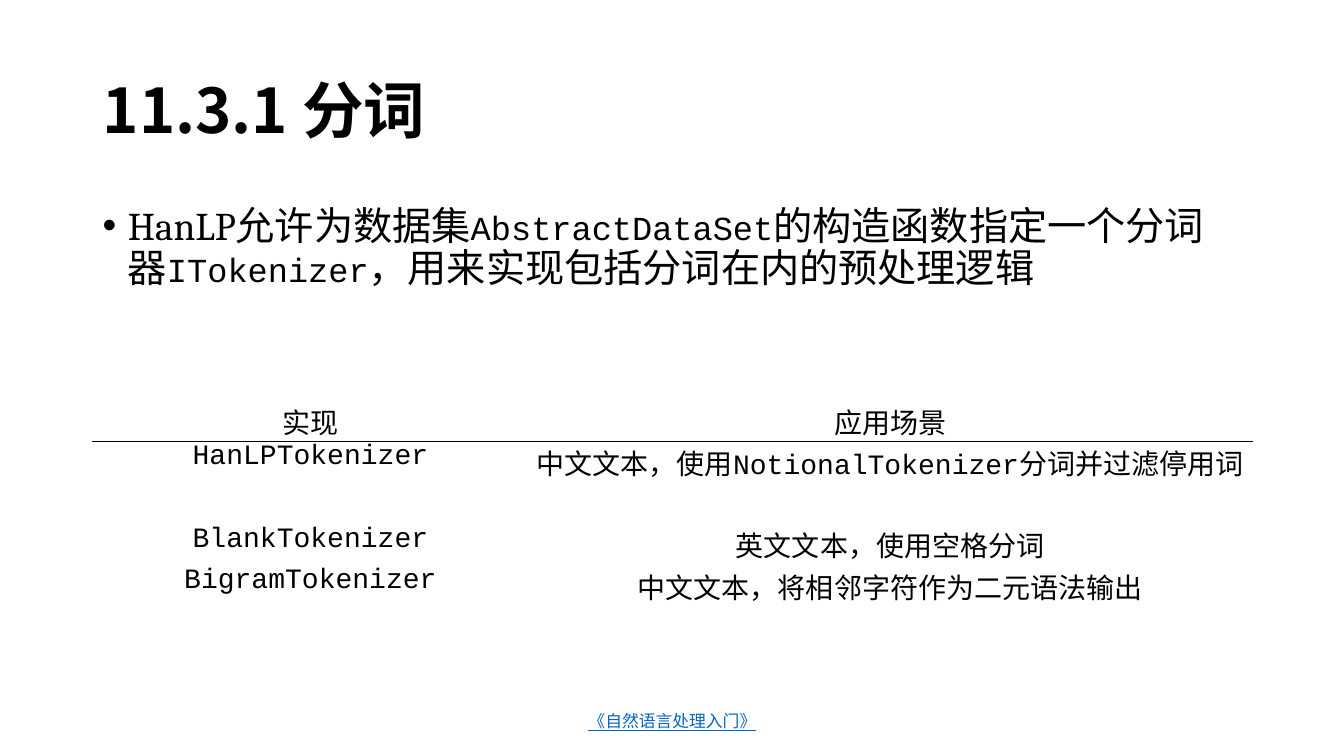
from dataclasses import dataclass

from lxml import etree
from pptx import Presentation
from pptx.dml.color import RGBColor
from pptx.enum import text as t
from pptx.oxml import ns
from pptx.util import Inches, Pt


@dataclass(frozen=True)
class Theme:
    ink: str = "000000"
    link: str = "0563C1"
    sans: str = "Noto Sans CJK SC"
    serif: str = "Cambria"
    mono: str = "Courier New"
    title: int = 44
    body: int = 28
    body_code: int = 24
    cell: int = 20
    source: int = 12


THEME = Theme()
LEFT, WIDTH = 0.92, 11.5
COLUMNS = (4.32, 7.18)
ROW_HEIGHTS = (0.4, 0.82, 0.41, 0.41)  # the second row holds two lines

TITLE = dict(size=THEME.title, name=THEME.sans, bold=True)
PROSE = dict(size=THEME.body, name=THEME.serif)
PROSE_CODE = dict(size=THEME.body_code, name=THEME.mono)
CELL = dict(size=THEME.cell, name=THEME.sans)
CELL_CODE = dict(size=THEME.cell, name=THEME.mono)
SOURCE = dict(size=THEME.source, name=THEME.sans, underline=True)

BODY = [
    ("HanLP允许为数据集", PROSE),
    ("AbstractDataSet", PROSE_CODE),
    ("的构造函数指定一个分词器", PROSE),
    ("ITokenizer", PROSE_CODE),
    ("，用来实现包括分词在内的预处理逻辑", PROSE),
]
TOKENIZERS = [
    ([("实现", CELL)], [("应用场景", CELL)]),
    ([("HanLPTokenizer", CELL_CODE)],
     [("中文文本，使用", CELL), ("NotionalTokenizer", CELL_CODE), ("分词并过滤停用词", CELL)]),
    ([("BlankTokenizer", CELL_CODE)], [("英文文本，使用空格分词", CELL)]),
    ([("BigramTokenizer", CELL_CODE)], [("中文文本，将相邻字符作为二元语法输出", CELL)]),
]


def add_child(parent, tag, **attributes):
    return etree.SubElement(parent, ns.qn(tag), attributes)


def write_runs(paragraph, runs, color=THEME.ink):
    for wording, style in runs:
        run = paragraph.add_run()
        run.text = wording
        run.font.color.rgb = RGBColor.from_string(color)
        for attribute, value in style.items():
            setattr(run.font, attribute, Pt(value) if attribute == "size" else value)
        add_child(run.font._element, "a:ea", typeface=THEME.sans)


def add_text(slide, place, runs, color=THEME.ink, anchor=t.MSO_ANCHOR.MIDDLE, **paragraph_format):
    frame = slide.shapes.add_textbox(*map(Inches, place)).text_frame
    frame.word_wrap = True
    frame.vertical_anchor = anchor
    paragraph = frame.paragraphs[0]
    for attribute, value in paragraph_format.items():
        setattr(paragraph, attribute, value)
    write_runs(paragraph, runs, color)
    return paragraph


def add_bullet(paragraph, indent):
    properties = paragraph._p.get_or_add_pPr()
    properties.set("marL", str(Inches(indent)))
    properties.set("indent", str(-Inches(indent)))
    add_child(properties, "a:buFont", typeface="Arial")
    add_child(properties, "a:buChar", char="•")


def add_rule(cell, side):
    """Draw a thin line on one side of a cell: a:lnB or a:lnT."""
    line = etree.Element(ns.qn(side), w=str(Pt(1)))
    add_child(add_child(line, "a:solidFill"), "a:srgbClr", val=THEME.ink)
    cell._tc.get_or_add_tcPr().insert(0, line)


def fill_cell(cell, runs, is_header):
    cell.fill.background()
    cell.margin_left = cell.margin_right = Inches(0.07)
    cell.margin_top = cell.margin_bottom = 0
    cell.vertical_anchor = t.MSO_ANCHOR.BOTTOM if is_header else t.MSO_ANCHOR.TOP
    paragraph = cell.text_frame.paragraphs[0]
    paragraph.alignment = t.PP_ALIGN.CENTER
    write_runs(paragraph, runs)


def add_tokenizer_table(slide, top):
    table = slide.shapes.add_table(
        len(ROW_HEIGHTS), len(COLUMNS),
        *map(Inches, (LEFT, top, WIDTH, sum(ROW_HEIGHTS)))).table
    table.first_row = table.horz_banding = False
    for column, width in zip(table.columns, COLUMNS):
        column.width = Inches(width)
    for row, height in zip(table.rows, ROW_HEIGHTS):
        row.height = Inches(height)
    for row, entries in enumerate(TOKENIZERS):
        for column, runs in enumerate(entries):
            cell = table.cell(row, column)
            fill_cell(cell, runs, is_header=row == 0)
            if row < 2:
                add_rule(cell, ("a:lnB", "a:lnT")[row])


def main():
    deck = Presentation()
    deck.slide_width, deck.slide_height = Inches(13.33), Inches(7.5)
    slide = deck.slides.add_slide(deck.slide_layouts[6])

    add_text(slide, (LEFT, 0.4, WIDTH, 1.45), [("11.3.1 分词", TITLE)], line_spacing=0.9)
    add_text(slide, (4.42, 6.95, 4.5, 0.4), [("《自然语言处理入门》", SOURCE)],
             color=THEME.link, alignment=t.PP_ALIGN.CENTER)
    body = add_text(slide, (LEFT, 2, WIDTH, 4.76), BODY,
                    anchor=t.MSO_ANCHOR.TOP, line_spacing=0.9)
    add_bullet(body, 0.25)
    add_tokenizer_table(slide, 3.98)

    deck.save("out.pptx")


if __name__ == "__main__":
    main()
